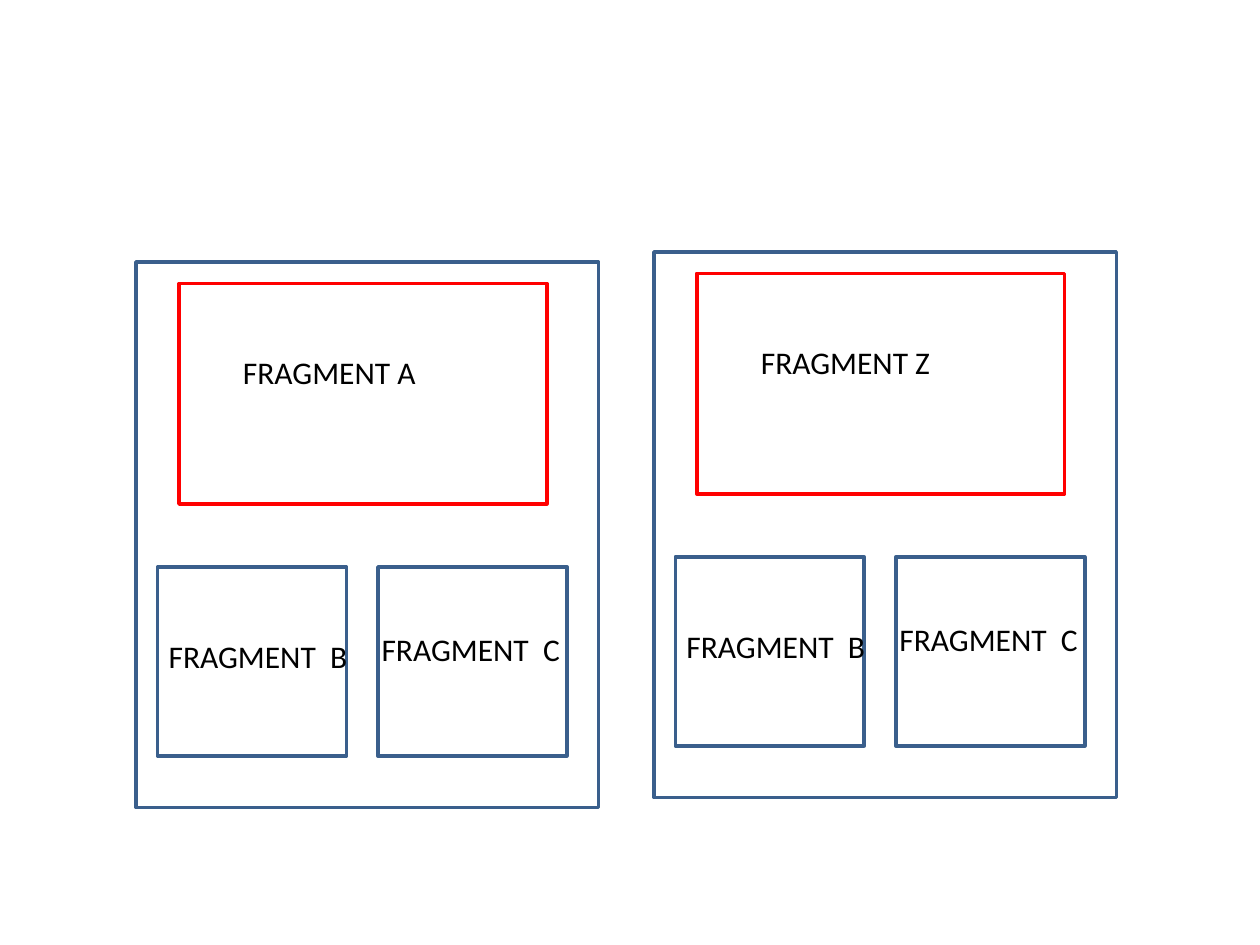
from pptx import Presentation
from pptx.dml.color import RGBColor
from pptx.enum.shapes import MSO_SHAPE
from pptx.util import Inches, Pt

WHITE = RGBColor(0xFF, 0xFF, 0xFF)
BLACK = RGBColor(0, 0, 0)
BLUE = RGBColor(0x3A, 0x5F, 0x8C)
RED = RGBColor(0xFF, 0, 0)

SCREENS = [(1.08, 2.08, "FRAGMENT A"), (5.19, 2, "FRAGMENT Z")]
FRAMES = [
    (0, 0, 3.67, 4.33, BLUE),
    (0.34, 0.17, 2.92, 1.75, RED),
    (0.17, 2.42, 1.5, 1.5, BLUE),
    (1.92, 2.42, 1.5, 1.5, BLUE),
]
LOWER_LABELS = [(0.16, 2.93, 1.83, "FRAGMENT  B"), (1.85, 2.87, 1.83, "FRAGMENT  C")]


def add_frame(s, x, y, w, h, color):
    sp = s.shapes.add_shape(MSO_SHAPE.RECTANGLE, Inches(x), Inches(y), Inches(w), Inches(h))
    sp.shadow.inherit = False
    sp.fill.solid()
    sp.fill.fore_color.rgb = WHITE
    sp.line.color.rgb = color
    sp.line.width = Pt(2)


def add_label(s, x, y, w, text):
    tf = s.shapes.add_textbox(Inches(x), Inches(y), Inches(w), Inches(0.4)).text_frame
    tf.word_wrap = True
    r = tf.paragraphs[0].add_run()
    r.text = text
    r.font.name = "Calibri"
    r.font.size = Pt(18)
    r.font.color.rgb = BLACK


def main():
    prs = Presentation()
    prs.slide_width, prs.slide_height = Inches(10), Inches(7.5)
    s = prs.slides.add_slide(prs.slide_layouts[6])
    for left, top, heading in SCREENS:
        for x, y, w, h, color in FRAMES:
            add_frame(s, left + x, top + y, w, h, color)
        for x, y, w, text in [(0.75, 0.67, 1.75, heading)] + LOWER_LABELS:
            add_label(s, left + x, top + y, w, text)
    prs.save("out.pptx")


if __name__ == "__main__":
    main()
